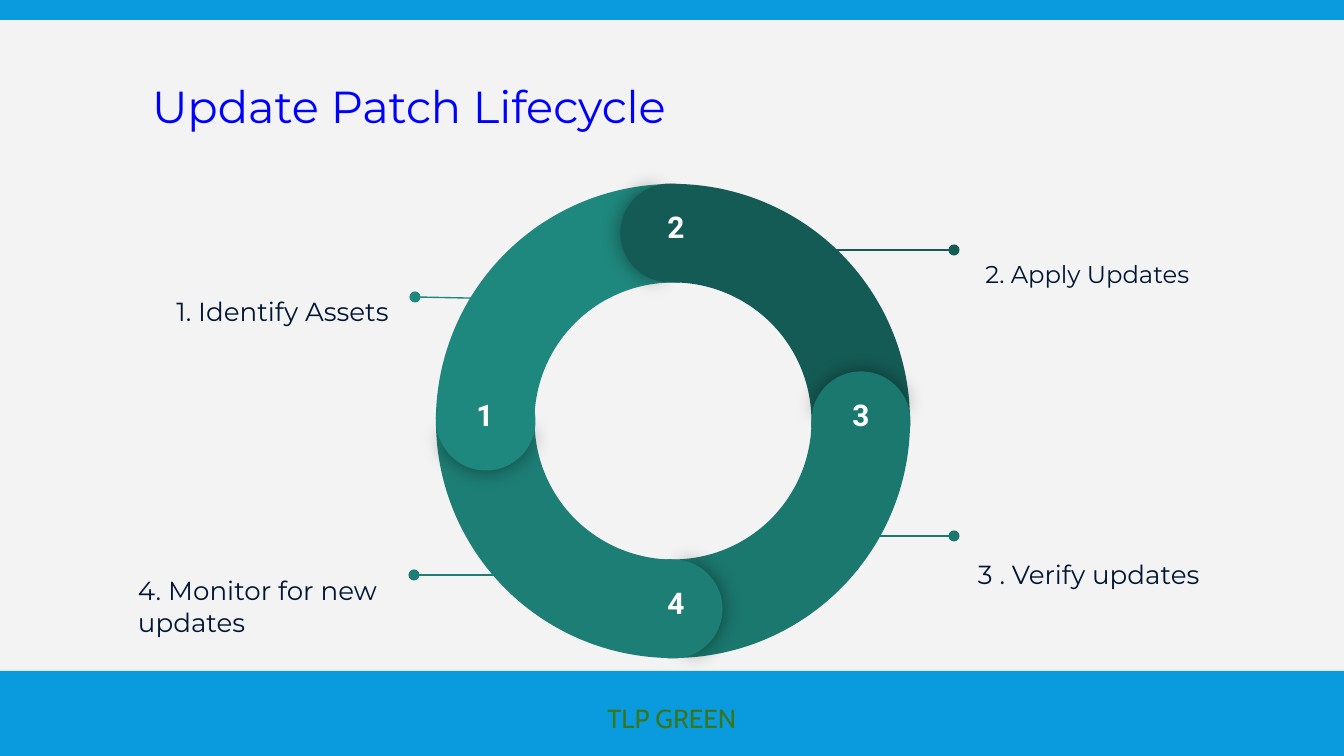
import pptx
import pptx.util
import pptx.dml.color
import pptx.enum.shapes
import pptx.enum.text
import pptx.oxml
import pptx.oxml.ns

SHAPE = pptx.enum.shapes.MSO_SHAPE
ALIGN = pptx.enum.text.PP_ALIGN
ANCHOR = pptx.enum.text.MSO_ANCHOR

# Content: each step of the cycle, clockwise from the left (lengths in px)
TITLE = "Update Patch Lifecycle"
FOOTER = "TLP GREEN"
STEPS = [
    {"label": "1. Identify Assets", "box": (100, 281, 302, 60), "align": ALIGN.RIGHT,
     "size": 14, "cap": (486, 421), "number_x": 485, "leader": (562, 300, 415, 297)},
    {"label": "2. Apply Updates", "box": (900, 244, 302, 60), "align": ALIGN.RIGHT,
     "size": 13, "cap": (670, 233), "number_x": 676, "leader": (766, 250, 954, 250)},
    {"label": "3 . Verify updates", "box": (965, 544, 302, 60), "align": ALIGN.LEFT,
     "size": 14, "cap": (861, 421), "number_x": 861, "leader": (766, 536, 954, 536)},
    {"label": "4. Monitor for new updates", "box": (125, 566, 312, 80), "align": ALIGN.LEFT,
     "size": 14, "cap": (673, 609), "number_x": 676, "leader": (607, 575, 414, 575)},
]

THEME = {
    "background": "F3F3F3", "bar": "099BDD",
    "steps": ["1F887E", "155B55", "1B786F", "1D7E75"],
    "label": {"name": "Montserrat", "color": "001633"},
    "title": {"name": "Montserrat", "color": "0000FF", "size": 24},
    "footer": {"name": "Cabin", "color": "38761D", "size": 14},
    "number": {"name": "Roboto", "color": "FFFFFF", "size": 16, "bold": True},
}

# Geometry
WIDTH, HEIGHT = 1344, 756
PAD = 13
RING_CENTER, RING_SIZE, CAP_SIZE = (673, 421), 474, 99
RING_THICKNESS = 0.208
ARC = (210.4, 302.9)
SHADED_CAP, PLAIN_CAP = (103.2, 249.9), (67.1, 286.4)


def px(length):
    return pptx.util.Emu(round(length * 914400 / 134.4))


def place(*lengths):
    return [px(length) for length in lengths]


def square(center, size):
    return place(center[0] - size / 2, center[1] - size / 2, size, size)


def rgb(value):
    return pptx.dml.color.RGBColor.from_string(value)


def add_effects(shape, content=""):
    namespace = pptx.oxml.ns.nsdecls("a")
    effects = pptx.oxml.parse_xml(f"<a:effectLst {namespace}>{content}</a:effectLst>")
    shape._element.spPr.append(effects)


def add_filled(page, kind, area, color, angles=(), rotation=0, extra=()):
    shape = page.shapes.add_shape(kind, *area)
    shape.shadow.inherit = False
    shape.fill.solid()
    shape.fill.fore_color.rgb = rgb(color)
    shape.line.fill.background()
    shape.rotation = rotation % 360
    # Angle adjustments are stored in 60000ths of a degree
    for index, value in enumerate([angle * 0.6 for angle in angles] + list(extra)):
        shape.adjustments[index] = value
    return shape


def write(shape, text, style, align=ALIGN.LEFT, anchor=ANCHOR.MIDDLE):
    frame = shape.text_frame
    settings = {"word_wrap": True, "auto_size": pptx.enum.text.MSO_AUTO_SIZE.NONE,
                "vertical_anchor": anchor}
    settings.update({f"margin_{side}": px(PAD) for side in ("left", "top", "right", "bottom")})
    for name, value in settings.items():
        setattr(frame, name, value)
    paragraph = frame.paragraphs[0]
    paragraph.alignment = align
    span = paragraph.add_run()
    span.text = text
    for name, value in style.items():
        if name == "color":
            span.font.color.rgb = rgb(value)
        else:
            setattr(span.font, name, pptx.util.Pt(value) if name == "size" else value)


def add_leader(page, ends, color):
    line = page.shapes.add_connector(pptx.enum.shapes.MSO_CONNECTOR.STRAIGHT, *place(*ends))
    line.line.color.rgb = rgb(color)
    line.line.width = pptx.util.Pt(0.75)
    tail = pptx.oxml.parse_xml(f'<a:tailEnd {pptx.oxml.ns.nsdecls("a")} type="oval"/>')
    line.line._get_or_add_ln().append(tail)
    add_effects(line)


def add_cap(page, center, color, turn):
    area = square(center, CAP_SIZE)
    shaded = add_filled(page, SHAPE.PIE, area, color, SHADED_CAP, 270.7 + turn)
    shaded._element.spPr.remove(shaded._element.spPr.find(pptx.oxml.ns.qn("a:effectLst")))
    add_effects(shaded, '<a:outerShdw blurRad="142240" dist="0" dir="0" rotWithShape="0">'
                        '<a:srgbClr val="000000"><a:alpha val="43000"/></a:srgbClr></a:outerShdw>')
    add_filled(page, SHAPE.PIE, area, color, PLAIN_CAP, 90 + turn)


def main():
    deck = pptx.Presentation()
    deck.slide_width, deck.slide_height = place(WIDTH, HEIGHT)
    page = deck.slides.add_slide(deck.slide_layouts[5])
    page.background.fill.solid()
    page.background.fill.fore_color.rgb = rgb(THEME["background"])

    # Bars and title
    footer = add_filled(page, SHAPE.RECTANGLE, place(0, 671, WIDTH, 95), THEME["bar"])
    write(footer, FOOTER, THEME["footer"], ALIGN.CENTER)
    add_filled(page, SHAPE.RECTANGLE, place(0, 0, WIDTH, 20), THEME["bar"])
    title = page.shapes.title
    title.left, title.top, title.width, title.height = place(139, 66, 1033, 138)
    write(title, TITLE, THEME["title"], anchor=ANCHOR.TOP)

    # Labels and leaders, behind the ring
    for step, color in zip(STEPS, THEME["steps"]):
        box = page.shapes.add_textbox(*place(*step["box"]))
        write(box, step["label"], {**THEME["label"], "size": step["size"]}, step["align"])
        add_leader(page, step["leader"], color)

    # Ring, a quarter turn per step
    for index, color in enumerate(THEME["steps"]):
        add_filled(page, SHAPE.BLOCK_ARC, square(RING_CENTER, RING_SIZE), color,
                   ARC, 330 + 90 * index, [RING_THICKNESS])

    # Rounded caps and numbers, above all arcs
    for index, (step, color) in enumerate(zip(STEPS, THEME["steps"])):
        add_cap(page, step["cap"], color, 90 * index)
        box = page.shapes.add_textbox(*place(step["number_x"] - 43, step["cap"][1] - 37, 86, 46))
        write(box, str(index + 1), THEME["number"], ALIGN.CENTER, ANCHOR.TOP)

    deck.save("out.pptx")


if __name__ == "__main__":
    main()
